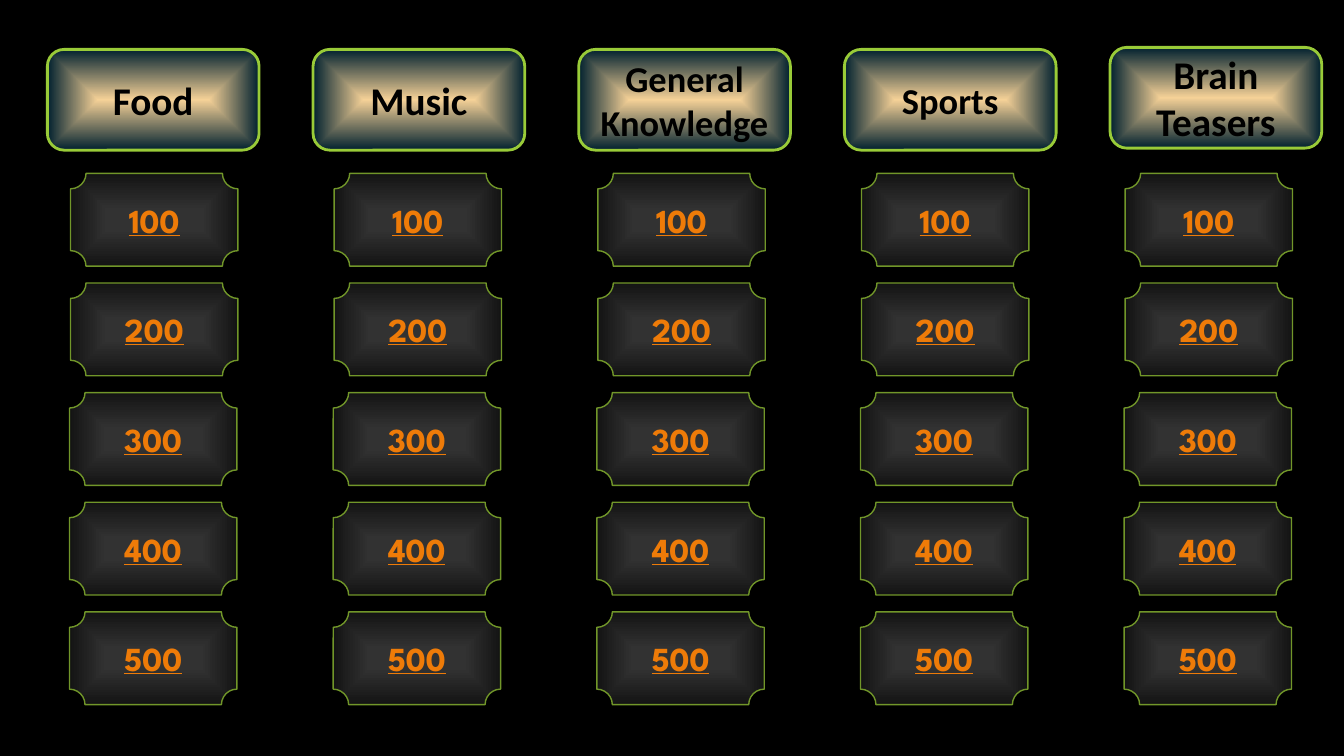
from pptx import Presentation, util as u
from pptx.dml.color import RGBColor
from pptx.enum import shapes, text
from pptx.oxml import parse_xml
from pptx.oxml.ns import nsdecls, qn

CATEGORIES = [("Food", 28), ("Music", 28), ("General Knowledge", 26),
              ("Sports", 26), ("Brain Teasers", 28)]
POINTS = [100, 200, 300, 400, 500]
HEADER = {"kind": shapes.MSO_SHAPE.ROUNDED_RECTANGLE, "size": (2.1, 1),
          "stops": [(0, "F5D197"), (100, "01212F")], "line": ("99CB38", 2),
          "color": "000000", "font": {"name": "Calibri", "bold": True}}
TILE = {"kind": shapes.MSO_SHAPE.PLAQUE, "size": (1.66, 0.92),
        "stops": [(21, "323232"), (100, "141414")], "line": ("719629", 1),
        "color": "EE7B08",
        "font": {"name": "League Spartan", "bold": True, "underline": True}}


def rgb(value):
    """Turn a hex string into a colour."""
    return RGBColor.from_string(value)


def fill_from_center(sp, stops):
    """Fill a shape with a rectangular gradient spreading from its centre."""
    marks = "".join(f'<a:gs pos="{pos * 1000}"><a:srgbClr val="{color}"/></a:gs>'
                    for pos, color in stops)
    gradient = parse_xml(
        f'<a:gradFill {nsdecls("a")} rotWithShape="1"><a:gsLst>{marks}</a:gsLst>'
        '<a:path path="rect"><a:fillToRect l="50000" t="50000" r="50000" b="50000"/>'
        '</a:path></a:gradFill>')
    sp.fill.background()
    props = sp._element.spPr
    props.replace(props.find(qn("a:noFill")), gradient)


def add_card(s, label, left, top, size, style):
    """Add one centred card in the given style."""
    width, height = style["size"]
    sp = s.shapes.add_shape(style["kind"], u.Inches(left), u.Inches(top),
                            u.Inches(width), u.Inches(height))
    sp.shadow.inherit = False
    fill_from_center(sp, style["stops"])
    color, weight = style["line"]
    sp.line.color.rgb = rgb(color)
    sp.line.width = u.Pt(weight)
    tf = sp.text_frame
    tf.word_wrap = True
    tf.vertical_anchor = text.MSO_ANCHOR.MIDDLE
    p = tf.paragraphs[0]
    p.alignment = text.PP_ALIGN.CENTER
    r = p.add_run()
    r.text = label
    for name, value in {**style["font"], "size": u.Pt(size)}.items():
        setattr(r.font, name, value)
    r.font.color.rgb = rgb(style["color"])


def add_headers(s):
    """Add the row of category headers."""
    last = len(CATEGORIES) - 1
    for col, (label, size) in enumerate(CATEGORIES):
        top = 0.47 if col == last else 0.49
        add_card(s, label, 0.47 + 10.54 * col / last, top, size, HEADER)


def add_tiles(s):
    """Add a column of point tiles under each category."""
    for col in range(len(CATEGORIES)):
        for row, points in enumerate(POINTS):
            left = 0.7 if row < 2 else 0.69
            add_card(s, str(points), left + 10.46 * col / 4,
                     1.72 + 4.35 * row / 4, 24, TILE)


def main():
    """Build the quiz board and save it."""
    prs = Presentation()
    prs.slide_width, prs.slide_height = u.Inches(13.33), u.Inches(7.5)
    s = prs.slides.add_slide(prs.slide_layouts[6])
    s.background.fill.solid()
    s.background.fill.fore_color.rgb = rgb("000000")
    add_headers(s)
    add_tiles(s)
    prs.save("out.pptx")


if __name__ == "__main__":
    main()
